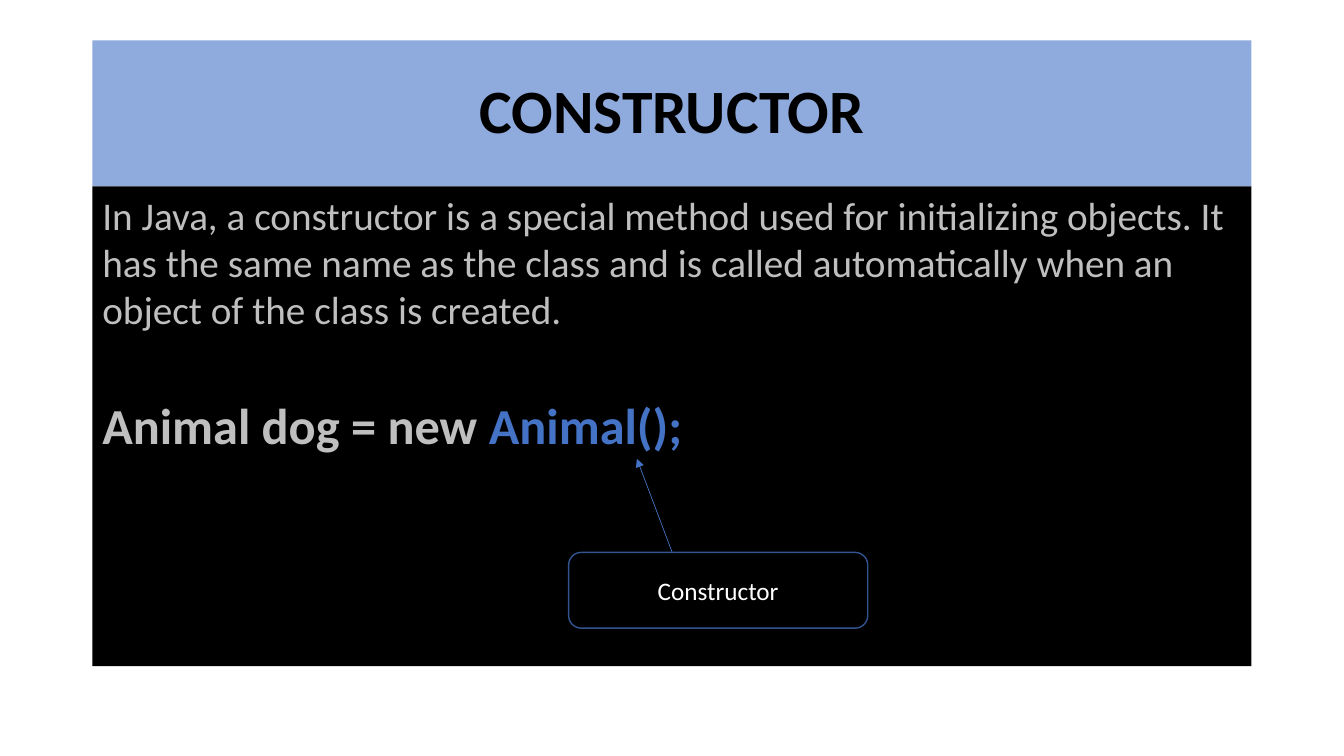
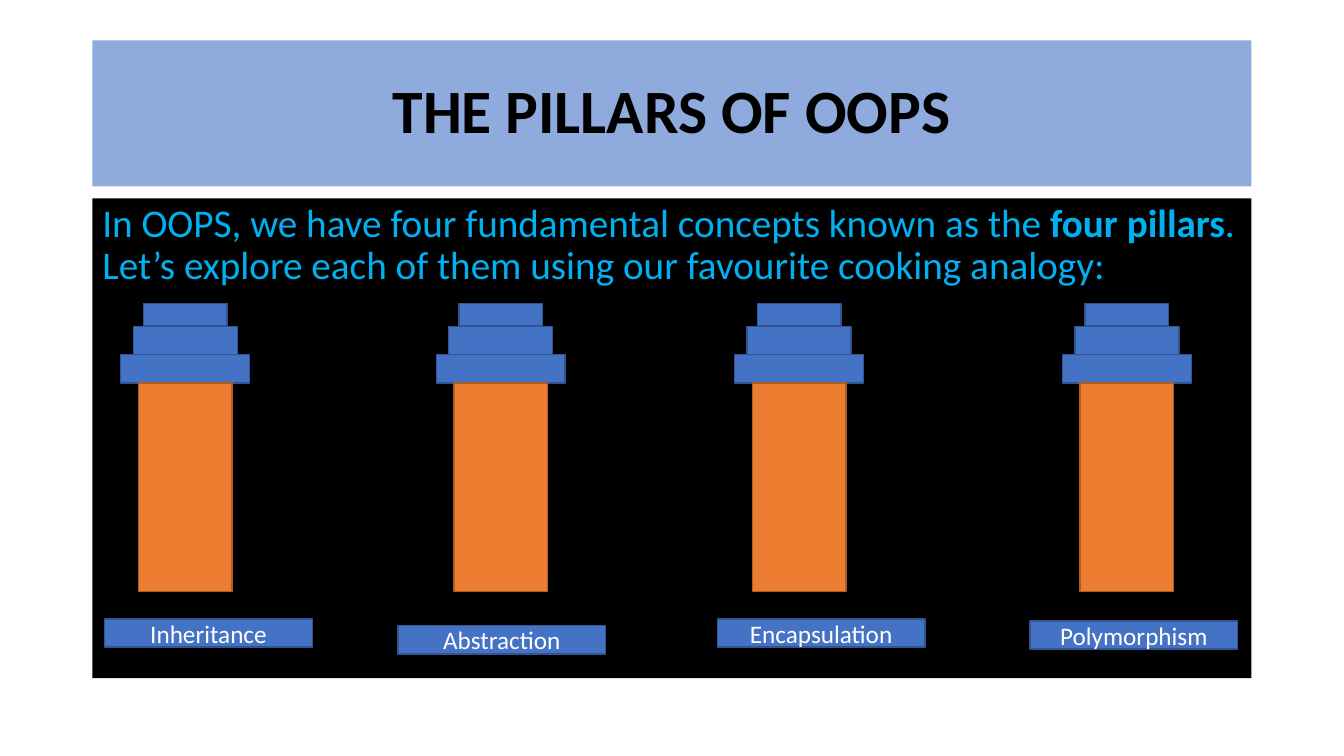
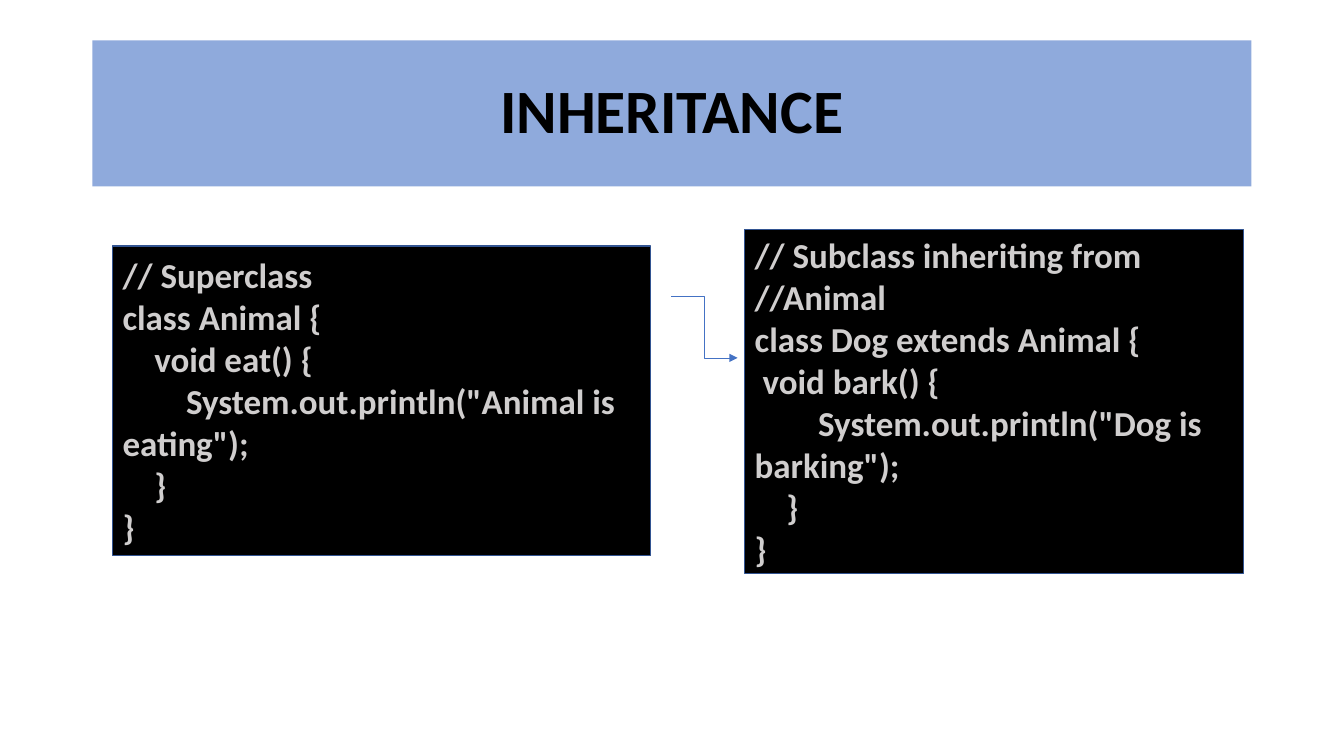
from lxml import etree
from pptx import Presentation
from pptx.dml.color import RGBColor
from pptx.enum import shapes, text
from pptx.oxml import ns
from pptx.util import Cm, Pt

FONT = "Calibri"
BLACK, WHITE = "000000", "FFFFFF"
BAND = "8FAADC"
BLUE, DARK_BLUE = "4472C4", "325491"
ORANGE, DARK_ORANGE = "ED7D31", "AF5C24"
GREY, CODE_GREY, CYAN = "BFBFBF", "D0CECE", "00B0F0"

RECTANGLE = shapes.MSO_SHAPE.RECTANGLE
LEFT, CENTER = text.PP_ALIGN.LEFT, text.PP_ALIGN.CENTER
TOP, MIDDLE = text.MSO_ANCHOR.TOP, text.MSO_ANCHOR.MIDDLE

PANEL_LEFT, PANEL_WIDTH, PANEL_HEIGHT = 2.33, 29.21, 12.09
INDENT_STEP = 0.2  # width of one code column

# Width, top and height of each tier of the capital
CAPITAL = [(2.11, 7.65, 0.56), (2.62, 8.23, 0.71), (3.25, 8.94, 0.71)]
SHAFT = (2.36, 9.65, 5.26)

# Name, centre of the pillar, left and top of the label
PILLARS = [
    ("Inheritance", 4.67, 2.64, 15.6),
    ("Abstraction", 12.62, 10.03, 15.77),
    ("Encapsulation", 20.14, 18.08, 15.6),
    ("Polymorphism", 28.4, 25.96, 15.65),
]

# Code lines: columns of indent, then the statement
SUPERCLASS = [
    (0, "// Superclass"),
    (0, "class Animal {"),
    (4, "void eat() {"),
    (8, 'System.out.println("Animal is eating");'),
    (4, "}"),
    (0, "}"),
]
SUBCLASS = [
    (0, "// Subclass inheriting from //Animal"),
    (0, "class Dog extends Animal {"),
    (1, "void bark() {"),
    (8, 'System.out.println("Dog is barking");'),
    (4, "}"),
    (0, "}"),
]


def color(value):
    """Return the colour for a hex string."""
    return RGBColor.from_string(value)


def apply_format(target, formats):
    """Set every attribute named in formats on the target."""
    for name, value in formats.items():
        setattr(target, name, value)


def add_box(container, box, fill, line=None, preset=RECTANGLE):
    """Add a filled preset shape; box is left, top, width, height in cm."""
    shape = container.shapes.add_shape(preset, *(Cm(value) for value in box))
    shape.shadow.inherit = False
    shape.fill.solid()
    shape.fill.fore_color.rgb = color(fill)
    if line:
        shape.line.color.rgb = color(line)
        shape.line.width = Pt(1)
    else:
        shape.line.fill.background()
    return shape


def write(shape, paragraphs, anchor=MIDDLE, **shared):
    """Fill a shape with (runs, formats) paragraphs sharing some formats."""
    frame = shape.text_frame
    apply_format(frame, {"word_wrap": True, "vertical_anchor": anchor})
    for index, (runs, formats) in enumerate(paragraphs):
        paragraph = frame.add_paragraph() if index else frame.paragraphs[0]
        apply_format(paragraph, {"alignment": LEFT, **shared, **formats})
        for content, size, hue, bold in runs:
            run = paragraph.add_run()
            run.text = content
            apply_format(run.font, {"name": FONT, "size": Pt(size), "bold": bold})
            run.font.color.rgb = color(hue)


def add_label(slide, content, box, fill, preset=RECTANGLE):
    """Add an outlined box with a centred white caption."""
    shape = add_box(slide, box, fill, DARK_BLUE, preset)
    write(shape, [([(content, 18, WHITE, False)], {})], alignment=CENTER)


def add_arrow(slide, kind, start, end):
    """Add a thin blue connector with a triangle at its end."""
    points = (Cm(value) for value in (*start, *end))
    connector = slide.shapes.add_connector(kind, *points)
    connector.line.color.rgb = color(BLUE)
    connector.line.width = Pt(0.5)
    etree.SubElement(connector.line._get_or_add_ln(), ns.qn("a:tailEnd"), type="triangle")
    etree.SubElement(connector._element.spPr, ns.qn("a:effectLst"))


def add_titled_slide(presentation, title):
    """Add a blank slide with the title band."""
    slide = presentation.slides.add_slide(presentation.slide_layouts[6])
    band = add_box(slide, (PANEL_LEFT, 1.02, PANEL_WIDTH, 3.68), BAND)
    write(band, [([(title, 44, BLACK, True)], {})], alignment=CENTER, line_spacing=0.9)
    return slide


def add_panel(slide, top, paragraphs):
    """Add the black body panel with its text."""
    panel = add_box(slide, (PANEL_LEFT, top, PANEL_WIDTH, PANEL_HEIGHT), BLACK)
    write(panel, paragraphs, anchor=TOP)


def add_pillar(slide, center):
    """Add one grouped pillar: three capital tiers and a shaft."""
    group = slide.shapes.add_group_shape()
    parts = [(tier, BLUE, DARK_BLUE) for tier in CAPITAL]
    parts.append((SHAFT, ORANGE, DARK_ORANGE))
    for (width, top, height), fill, line in parts:
        add_box(group, (center - width / 2, top, width, height), fill, line)


def add_code(slide, box, lines):
    """Add a black code box whose lines are indented by column."""
    shape = add_box(slide, box, BLACK, DARK_BLUE)
    write(shape, [([(code, 25, CODE_GREY, True)], {}) for _, code in lines])
    for paragraph, (columns, _) in zip(shape.text_frame.paragraphs, lines):
        properties = paragraph._p.get_or_add_pPr()
        properties.set("marL", "0")
        properties.set("indent", str(int(Cm(columns * INDENT_STEP))))


def build_constructor(presentation):
    """Build the slide that explains a constructor."""
    slide = add_titled_slide(presentation, "CONSTRUCTOR")
    definition = (
        "In Java, a constructor is a special method used for initializing objects. "
        "It has the same name as the class and is called automatically when an "
        "object of the class is created."
    )
    statement = [("Animal dog = new ", 36, GREY, True), ("Animal();", 36, BLUE, True)]
    add_panel(slide, 4.7, [
        ([(definition, 28, GREY, False)], {}),
        (statement, {"space_before": Pt(44)}),
    ])
    add_arrow(slide, shapes.MSO_CONNECTOR.STRAIGHT, (16.94, 13.92), (16.05, 11.56))
    add_label(slide, "Constructor", (14.33, 13.92, 7.54, 1.91), BLACK,
              shapes.MSO_SHAPE.ROUNDED_RECTANGLE)


def build_pillars(presentation):
    """Build the slide with the four pillars."""
    slide = add_titled_slide(presentation, "THE PILLARS OF OOPS")
    runs = [
        ("In OOPS, we have four fundamental concepts known as the", 28, CYAN, False),
        ("\u00a0four pillars", 28, CYAN, True),
        (". Let’s explore each of them using our favourite cooking analogy:",
         28, CYAN, False),
    ]
    add_panel(slide, 5, [(runs, {"line_spacing": 0.9, "space_before": Pt(10)})])
    for name, center, left, top in PILLARS:
        add_pillar(slide, center)
        add_label(slide, name, (left, top, 5.23, 0.71), BLUE)


def build_inheritance(presentation):
    """Build the slide with the superclass and its subclass."""
    slide = add_titled_slide(presentation, "INHERITANCE")
    add_code(slide, (2.84, 6.2, 13.56, 7.8), SUPERCLASS)
    add_code(slide, (18.77, 5.79, 12.57, 8.66), SUBCLASS)
    add_arrow(slide, shapes.MSO_CONNECTOR.ELBOW, (16.92, 7.47), (18.59, 9.02))


def main():
    """Build and save the presentation."""
    presentation = Presentation()
    apply_format(presentation, {"slide_width": Cm(33.87), "slide_height": Cm(19.05)})
    build_constructor(presentation)
    build_pillars(presentation)
    build_inheritance(presentation)
    presentation.save("out.pptx")


main()
